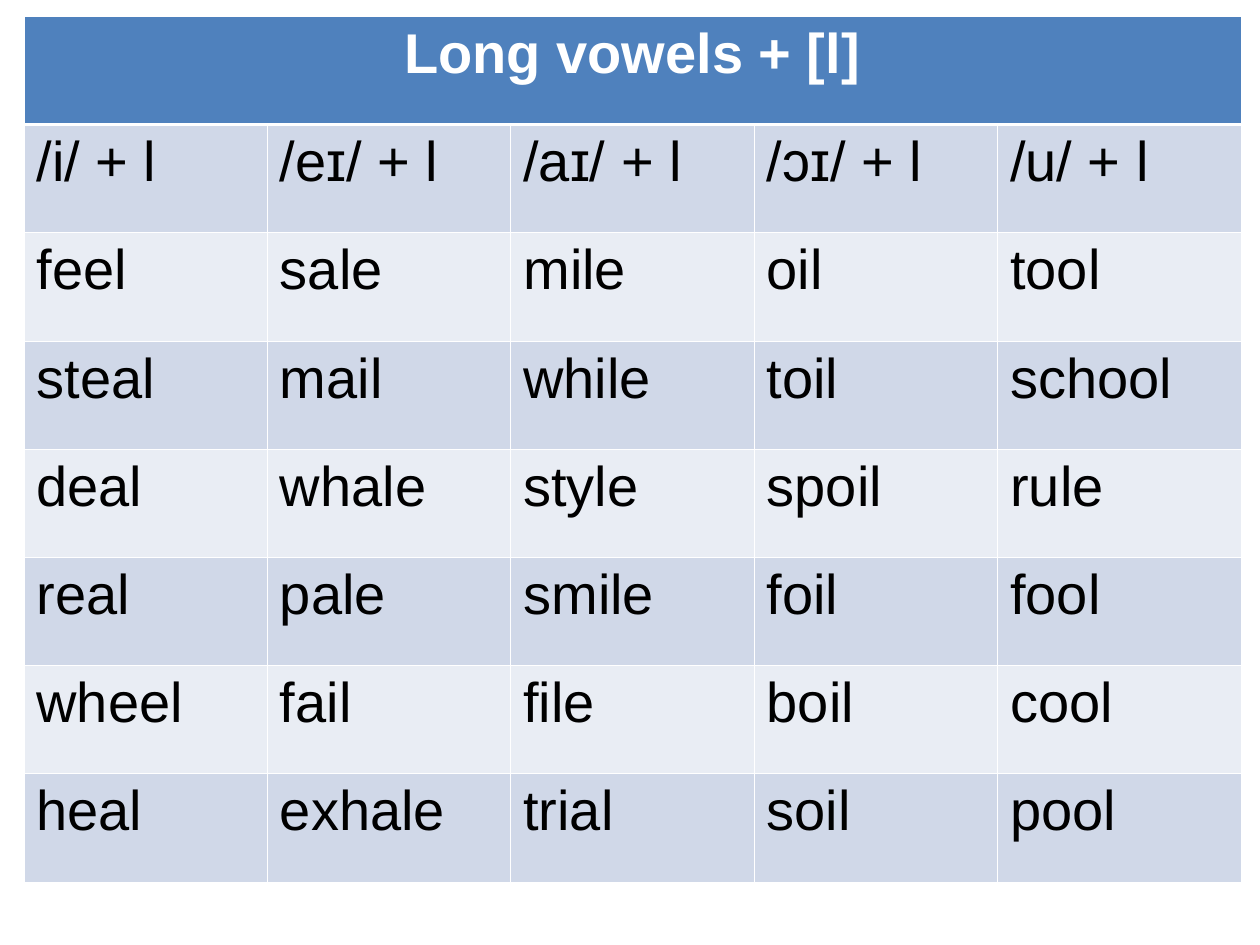
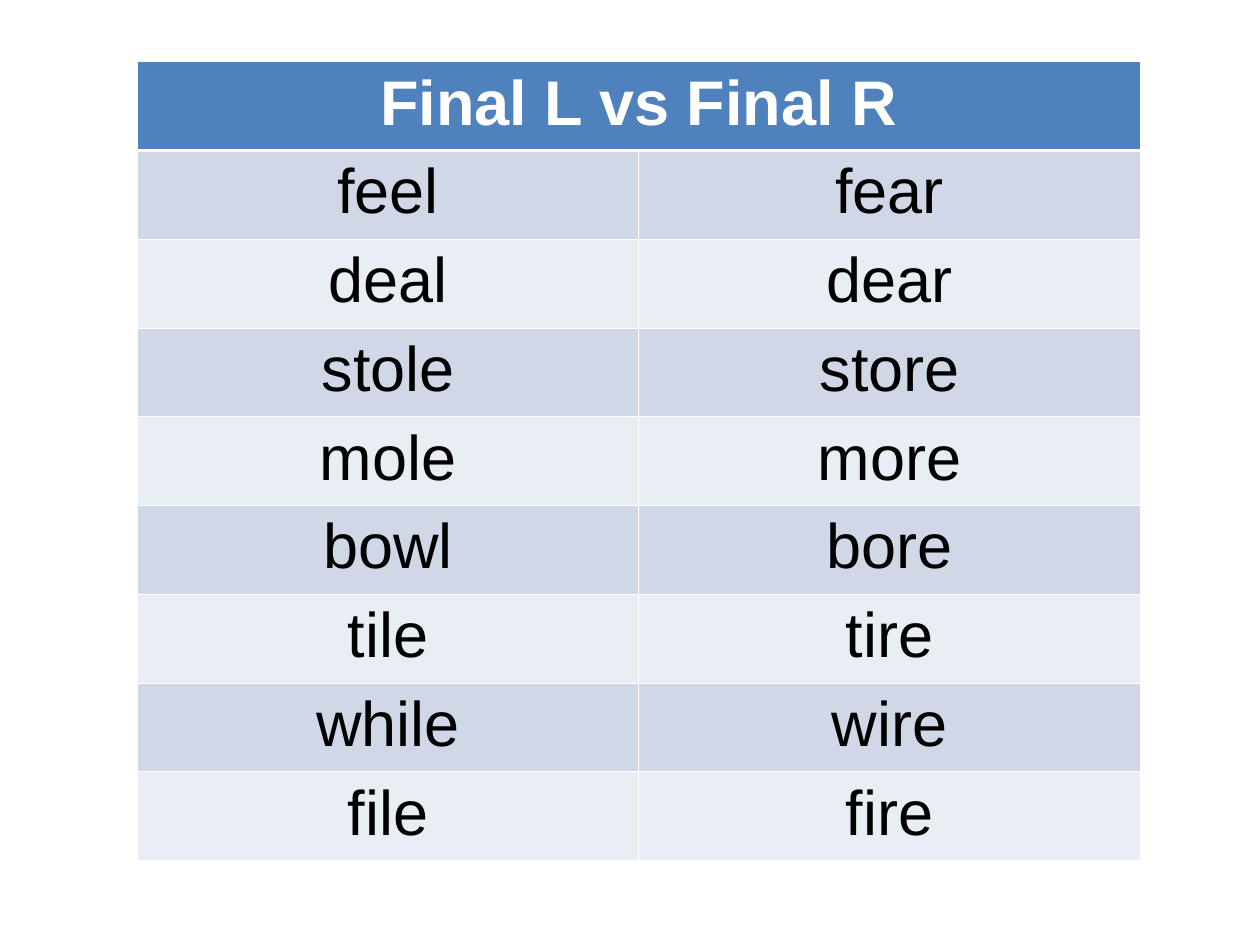
from lxml import etree
from pptx import Presentation
from pptx.dml.color import RGBColor
from pptx.enum.text import PP_ALIGN
from pptx.oxml.ns import qn
from pptx.util import Inches, Pt

LEFT, CENTER = PP_ALIGN.LEFT, PP_ALIGN.CENTER
FONT = "Arial"
COLORS = {
    "head": "4F81BD",
    "dark": "D0D8E8",
    "light": "E9EDF4",
    "rule": "FFFFFF",
    "title": "FFFFFF",
    "word": "000000",
}
THIN, THICK = 0.45, 1.47

VOWELS = [
    ["/i/ + l", "/eɪ/ + l", "/aɪ/ + l", "/ɔɪ/ + l", "/u/ + l"],
    ["feel", "sale", "mile", "oil", "tool"],
    ["steal", "mail", "while", "toil", "school"],
    ["deal", "whale", "style", "spoil", "rule"],
    ["real", "pale", "smile", "foil", "fool"],
    ["wheel", "fail", "file", "boil", "cool"],
    ["heal", "exhale", "trial", "soil", "pool"],
]
PAIRS = [
    ["feel", "fear"],
    ["deal", "dear"],
    ["stole", "store"],
    ["mole", "more"],
    ["bowl", "bore"],
    ["tile", "tire"],
    ["while", "wire"],
    ["file", "fire"],
]


def add_rules(cell, top, bottom):
    props = cell._tc.get_or_add_tcPr()
    widths = {"a:lnL": THIN, "a:lnR": THIN, "a:lnT": top, "a:lnB": bottom}
    for tag, width in widths.items():
        line = etree.SubElement(props, qn(tag), w=str(Pt(width)))
        fill = etree.SubElement(line, qn("a:solidFill"))
        etree.SubElement(fill, qn("a:srgbClr"), val=COLORS["rule"])


def style_cell(cell, row):
    add_rules(cell, THICK if row == 1 else THIN, THICK if row == 0 else THIN)
    name = "head" if row == 0 else "dark" if row % 2 else "light"
    cell.fill.solid()
    cell.fill.fore_color.rgb = RGBColor.from_string(COLORS[name])


def add_text(cell, text, size, align, color, bold=False):
    para = cell.text_frame.paragraphs[0]
    para.alignment = align
    run = para.add_run()
    run.text = text
    run.font.name = FONT
    run.font.size = Pt(size)
    run.font.bold = bold
    run.font.color.rgb = RGBColor.from_string(COLORS[color])


def add_words(deck, title, words, box, size, align):
    slide = deck.slides.add_slide(deck.slide_layouts[6])
    left, top, width, height = map(Inches, box)
    rows, cols = len(words) + 1, len(words[0])
    table = slide.shapes.add_table(rows, cols, left, top, width, height).table
    for row in range(rows):
        for col in range(cols):
            style_cell(table.cell(row, col), row)
    head = table.cell(0, 0)
    head.merge(table.cell(0, cols - 1))
    add_text(head, title, size, CENTER, "title", True)
    for row, line in enumerate(words, 1):
        for col, word in enumerate(line):
            add_text(table.cell(row, col), word, size, align, "word")


def main():
    deck = Presentation()
    deck.slide_width, deck.slide_height = Inches(10), Inches(7.5)
    add_words(deck, "Long vowels + [l]", VOWELS, (0.19, 0.13, 9.66, 6.87), 32, LEFT)
    add_words(deck, "Final L vs Final R", PAIRS, (1.09, 0.49, 7.96, 6.34), 36, CENTER)
    deck.save("out.pptx")


if __name__ == "__main__":
    main()
